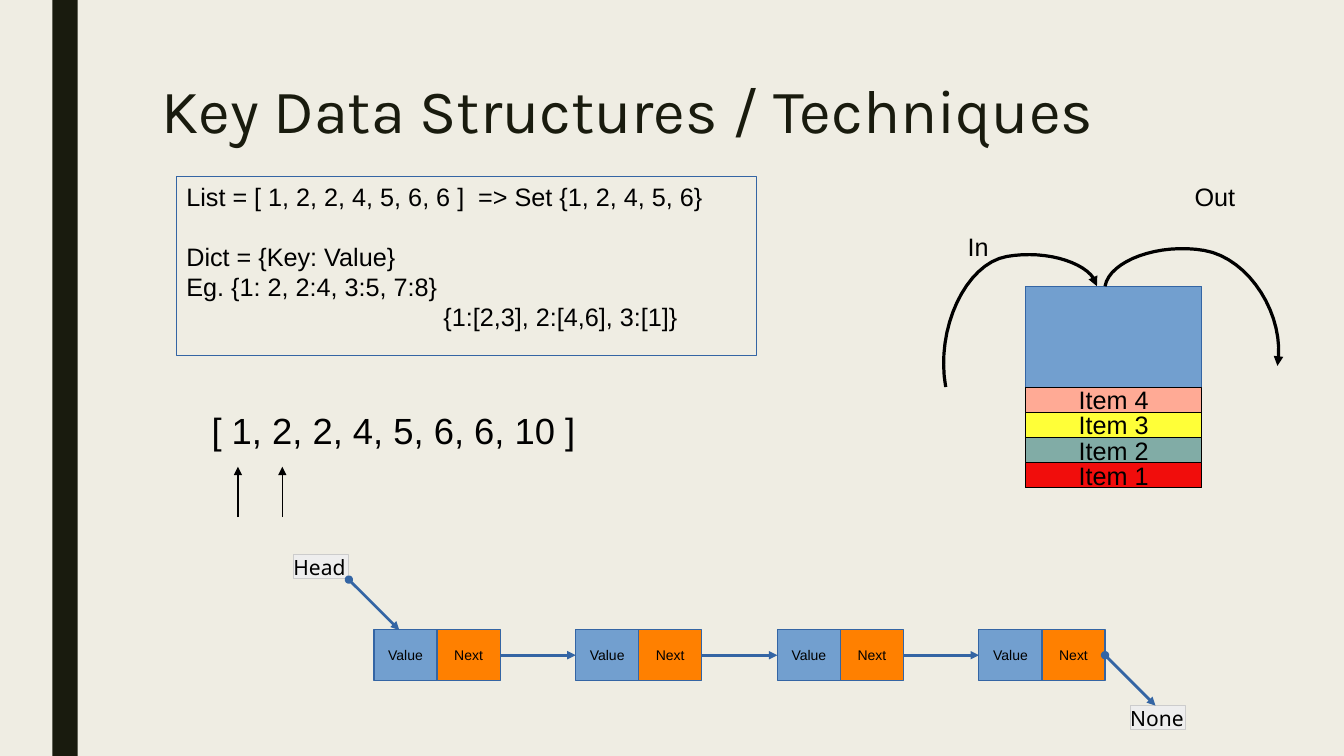
import pptx
import pptx.dml.color
import pptx.enum.shapes
import pptx.enum.text
import pptx.oxml
import pptx.oxml.ns
import pptx.util

RGB = pptx.dml.color.RGBColor
CREAM = RGB(0xEF, 0xED, 0xE3)
DARK = RGB(0x19, 0x1B, 0x0E)
BLACK = RGB(0, 0, 0)
BLUE = RGB(0x72, 0x9F, 0xCF)
NAVY = RGB(0x34, 0x65, 0xA4)
ORANGE = RGB(0xFF, 0x80, 0x00)
PALE = RGB(0xEE, 0xEE, 0xEE)
GREY = RGB(0xCC, 0xCC, 0xCC)
PINK = RGB(0xFF, 0xAA, 0x95)
YELLOW = RGB(0xFF, 0xFF, 0x38)
TEAL = RGB(0x81, 0xAC, 0xA6)
RED = RGB(0xF1, 0x0D, 0x0C)

LEFT = pptx.enum.text.PP_ALIGN.LEFT
CENTER = pptx.enum.text.PP_ALIGN.CENTER
TOP = pptx.enum.text.MSO_ANCHOR.TOP
MIDDLE = pptx.enum.text.MSO_ANCHOR.MIDDLE
RECT = pptx.enum.shapes.MSO_SHAPE.RECTANGLE
STRAIGHT = pptx.enum.shapes.MSO_CONNECTOR.STRAIGHT
Inches = pptx.util.Inches

deck = pptx.Presentation()
deck.slide_width, deck.slide_height = Inches(13.33), Inches(7.5)
slide = deck.slides.add_slide(deck.slide_layouts[6])
slide.background.fill.solid()
slide.background.fill.fore_color.rgb = CREAM
shapes = slide.shapes


def add_box(at, lines=(), size=18, face="Arial", ink=BLACK, fill=None, edge=None,
            align=LEFT, anchor=TOP, pad=(0.1, 0.05)):
    """Add a rectangle with optional fill, hairline edge and lines of text."""
    box = shapes.add_shape(RECT, *map(Inches, at))
    box.shadow.inherit = False
    for part, tone in ((box.fill, fill), (box.line.fill, edge)):
        if tone is None:
            part.background()
        else:
            part.solid()
            part.fore_color.rgb = tone
    if edge is not None:
        box.line.width = pptx.util.Pt(0)
    frame = box.text_frame
    side, rim = map(Inches, pad)
    look = {"word_wrap": True, "vertical_anchor": anchor, "margin_left": side,
            "margin_right": side, "margin_top": rim, "margin_bottom": rim}
    for name, value in look.items():
        setattr(frame, name, value)
    for i, text in enumerate(lines):
        para = frame.add_paragraph() if i else frame.paragraphs[0]
        para.alignment = align
        run = para.add_run()
        run.text = text
        for name, value in {"size": pptx.util.Pt(size), "name": face}.items():
            setattr(run.font, name, value)
        run.font.color.rgb = ink
    return box


def style_line(line, tone, width, head=None):
    """Colour a line and end it in a triangle, with an optional start mark."""
    line.line.color.rgb = tone
    line.line.width = pptx.util.Pt(width)
    props = line.element.spPr
    space = pptx.oxml.ns.nsdecls("a")
    stroke = props.find(pptx.oxml.ns.qn("a:ln"))
    for tag, kind in (("headEnd", head), ("tailEnd", "triangle")):
        if kind:
            stroke.append(pptx.oxml.parse_xml(f'<a:{tag} {space} type="{kind}"/>'))
    if props.find(pptx.oxml.ns.qn("a:effectLst")) is None:
        props.append(pptx.oxml.parse_xml(f"<a:effectLst {space}/>"))


add_box((0.52, 0, 0.25, 7.5), fill=DARK)
title = add_box((1.5, 0.75, 10.5, 1.62), ["Key Data Structures / Techniques"],
                size=44, face="Karla", ink=DARK)
title.text_frame.paragraphs[0].line_spacing = 0.89

# Linked list
START, STEP, CELL = 3.71, 2, 0.625
for i in range(4):
    for j, (word, fill) in enumerate((("Value", BLUE), ("Next", ORANGE))):
        add_box((START + i * STEP + j * CELL, 6.25, CELL, 0.5), [word], size=10,
                fill=fill, edge=NAVY, align=CENTER, anchor=MIDDLE)
for left, top, word in ((2.91, 5.5, "Head"), (11.21, 7, "None")):
    add_box((left, top, 0.55, 0.24), [word], size=15, face="Noto Sans",
            fill=PALE, edge=GREY, pad=(0, 0))

# Straight arrows: ends, colour, width, start mark
arrows = [((START + i * STEP + 2 * CELL, 6.5, START + (i + 1) * STEP, 6.5), NAVY, 0, None)
          for i in range(3)]
arrows += [((x, y, x + 0.5, y + 0.5), NAVY, 0, "oval") for x, y in ((3.46, 5.75), (10.96, 6.5))]
arrows += [((x, 5.13, x, 4.63), BLACK, 1, None) for x in (2.36, 2.8)]
for ends, tone, width, head in arrows:
    style_line(shapes.add_connector(STRAIGHT, *map(Inches, ends)), tone, width, head)

# Stack
add_box((10.17, 2.84, 1.75, 2), fill=BLUE, edge=NAVY)
for i, fill in enumerate((RED, TEAL, YELLOW, PINK)):
    add_box((10.17, 4.59 - i * 0.25, 1.75, 0.25), [f"Item {i + 1}"], fill=fill,
            edge=BLACK, align=CENTER, anchor=MIDDLE)
add_box((9.5, 2.25, 0.6, 0.38), ["In"])
add_box((11.75, 1.75, 0.8, 0.38), ["Out"])

# Curved arrows: two Bezier halves that meet midway between the corners
curves = (((9.38, 3.84), (9.17, 2.69), (10.8, 2.4), (10.88, 2.84)),
          ((10.96, 2.84), (11.05, 2.33), (12.84, 2.64), (12.67, 3.63)))
for curve in curves:
    axes = []
    for a, b, c, d in zip(*curve):
        mid = (b + c) / 2
        halves = ((a, (a + b) / 2, (b + mid) / 2, mid), (mid, (mid + c) / 2, (c + d) / 2, d))
        axes.append([Inches(p * (1 - t) ** 3 + 3 * q * t * (1 - t) ** 2
                            + 3 * r * t ** 2 * (1 - t) + s * t ** 3)
                     for p, q, r, s in halves for t in (k / 16 for k in range(17))])
    points = list(zip(*axes))
    trace = shapes.build_freeform(*points[0])
    trace.add_line_segments(points[1:], close=False)
    arc = trace.convert_to_shape()
    arc.shadow.inherit = False
    arc.fill.background()
    style_line(arc, BLACK, 2.3)

# Built-in types
notes = add_box((1.75, 1.75, 5.75, 1.78), [
    "List = [ 1, 2, 2, 4, 5, 6, 6 ]  => Set {1, 2, 4, 5, 6}",
    "Dict = {Key: Value}",
    "Eg. {1: 2, 2:4, 3:5, 7:8}",
    "{1:[2,3], 2:[4,6], 3:[1]}"], edge=NAVY)
paras = notes.text_frame.paragraphs
paras[1].space_before = pptx.util.Pt(21)
paras[3]._p.get_or_add_pPr().set("marL", str(Inches(2.55)))

# Two pointers
add_box((2, 4, 4.11, 0.63), ["[ 1, 2, 2, 4, 5, 6, 6, 10 ]"], size=26)

deck.save("out.pptx")
